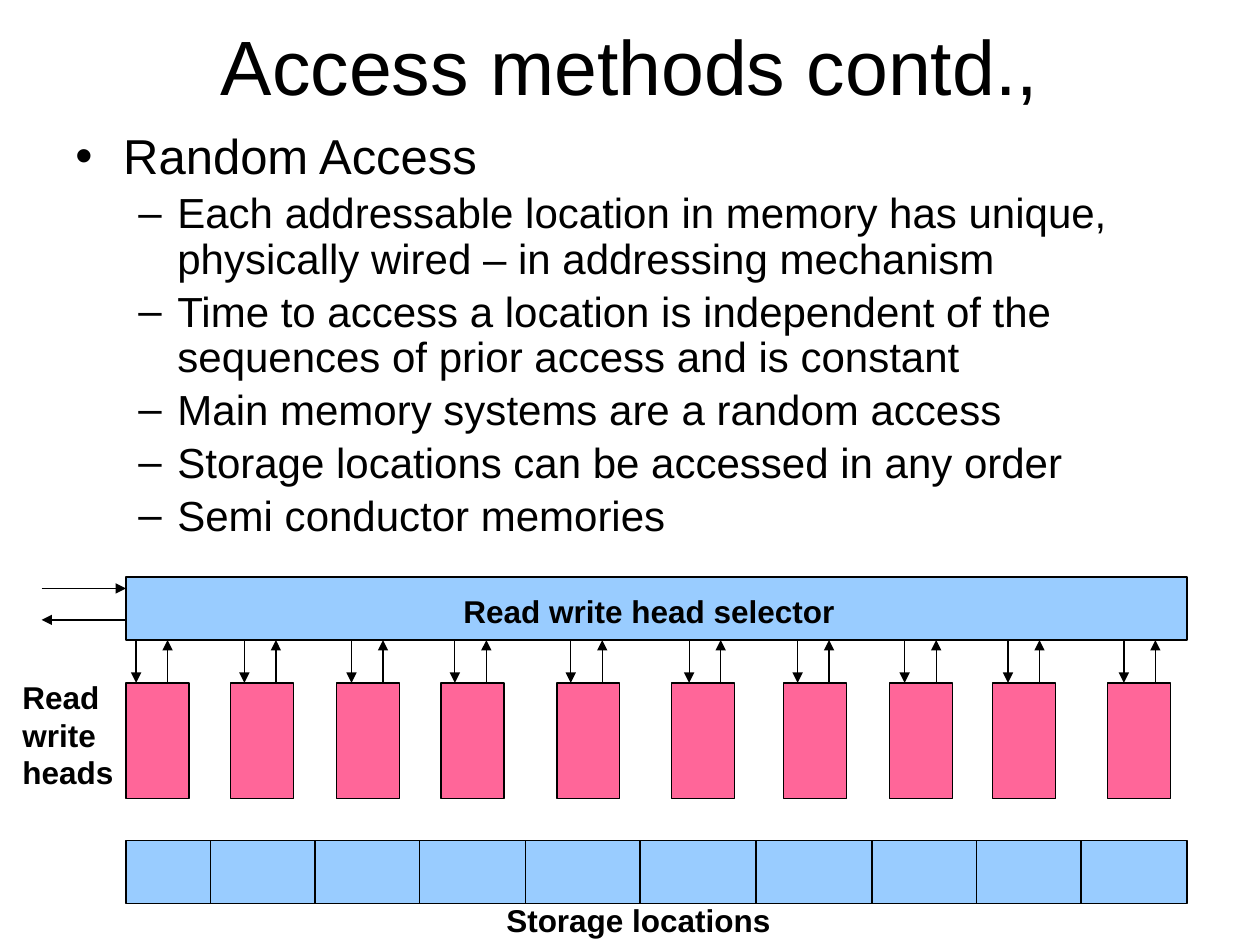
"""Build the slide on random access to memory."""
from typing import NamedTuple

from lxml.etree import SubElement
from pptx import Presentation
from pptx.dml.color import RGBColor
from pptx.enum.shapes import MSO_CONNECTOR, MSO_SHAPE
from pptx.enum.text import MSO_ANCHOR, MSO_AUTO_SIZE, PP_ALIGN
from pptx.oxml.ns import qn
from pptx.util import Inches, Pt

BLACK, BLUE, PINK = "000000", "99CCFF", "FF6699"
BAR_LEFT, BAR_WIDTH, BAR_HEIGHT = 1, 8.42, 0.5
SELECTOR_TOP, SELECTOR_BOTTOM = 4.58, 5.08
HEAD_TOP, HEAD_WIDTH, HEAD_HEIGHT = 5.42, 0.5, 0.92
STORAGE_TOP, STORAGE_BOTTOM = 6.67, 7.17
ARROW_GAP = 0.25


class Head(NamedTuple):
    left: float
    arrow: float


class Label(NamedTuple):
    text: str
    left: float
    top: float
    width: float
    height: float
    wrap: bool


class Bullet(NamedTuple):
    text: str
    level: int = 1


class BulletStyle(NamedTuple):
    symbol: str
    size: float
    margin: float
    hanging: float


HEADS = [
    Head(1, 1.08), Head(1.83, 1.94), Head(2.67, 2.79), Head(3.5, 3.61), Head(4.42, 4.53),
    Head(5.33, 5.47), Head(6.22, 6.33), Head(7.06, 7.18), Head(7.88, 8), Head(8.79, 8.92),
]
DIVIDERS = [1.67, 2.5, 3.33, 4.17, 5.08, 6, 6.92, 7.75, 8.58]
LABELS = [
    Label("Read write heads", 0.08, 5.33, 1.18, 1, True),
    Label("Read write head selector", 3.58, 4.65, 5.75, 0.4, True),
    Label("Storage locations", 3.92, 7.1, 2.3, 0.4, False),
]
BULLETS = [
    Bullet("Random Access", 0),
    Bullet("Each addressable location in memory has unique, "
           "physically wired – in addressing mechanism"),
    Bullet("Time to access a location is independent of the "
           "sequences of prior access and is constant"),
    Bullet("Main memory systems are a random access"),
    Bullet("Storage locations can be accessed in any order"),
    Bullet("Semi conductor memories"),
]
BULLET_STYLES = [BulletStyle("•", 28, 0.38, 0.38), BulletStyle("–", 24, 0.81, 0.31)]


def color(value: str) -> RGBColor:
    return RGBColor.from_string(value)


def write(paragraph, text: str, size: float = 18, bold: bool = False, align=PP_ALIGN.LEFT) -> None:
    paragraph.alignment = align
    run = paragraph.add_run()
    run.text = text
    run.font.name = "Arial"
    run.font.size = Pt(size)
    run.font.bold = bold
    run.font.color.rgb = color(BLACK)


def add_box(slide, left: float, top: float, width: float, height: float, fill: str) -> None:
    shape = slide.shapes.add_shape(
        MSO_SHAPE.RECTANGLE, Inches(left), Inches(top), Inches(width), Inches(height))
    shape.shadow.inherit = False
    shape.fill.solid()
    shape.fill.fore_color.rgb = color(fill)
    shape.line.color.rgb = color(BLACK)
    shape.line.width = Pt(0.75)


def add_line(slide, start: tuple[float, float], end: tuple[float, float], arrow: bool = True) -> None:
    connector = slide.shapes.add_connector(
        MSO_CONNECTOR.STRAIGHT, *(Inches(value) for value in start + end))
    connector.line.color.rgb = color(BLACK)
    connector.line.width = Pt(0.75)
    if arrow:
        SubElement(connector.line._get_or_add_ln(), qn("a:tailEnd"), type="triangle")
    SubElement(connector._element.spPr, qn("a:effectLst"))


def add_text_box(slide, left: float, top: float, width: float, height: float, wrap: bool = True):
    shape = slide.shapes.add_textbox(Inches(left), Inches(top), Inches(width), Inches(height))
    shape.text_frame.word_wrap = wrap
    return shape.text_frame


def add_title(slide, text: str) -> None:
    title = slide.shapes.title
    title.left, title.top = Inches(0.5), Inches(0.08)
    title.width, title.height = Inches(9), Inches(0.87)
    title.text_frame.auto_size = MSO_AUTO_SIZE.NONE
    title.text_frame.vertical_anchor = MSO_ANCHOR.MIDDLE
    write(title.text_frame.paragraphs[0], text, size=44, align=PP_ALIGN.CENTER)


def add_bullets(slide, bullets: list[Bullet]) -> None:
    frame = add_text_box(slide, 0.5, 1, 9, 3.53)
    for index, bullet in enumerate(bullets):
        paragraph = frame.add_paragraph() if index else frame.paragraphs[0]
        style = BULLET_STYLES[bullet.level]
        properties = paragraph._p.get_or_add_pPr()
        properties.set("marL", str(Inches(style.margin)))
        properties.set("indent", str(-Inches(style.hanging)))
        SubElement(properties, qn("a:buFont"), typeface="Arial")
        SubElement(properties, qn("a:buChar"), char=style.symbol)
        paragraph.level = bullet.level
        paragraph.line_spacing = 0.9
        if index:
            paragraph.space_before = Pt(4.3)
        write(paragraph, bullet.text, size=style.size)


def add_diagram(slide) -> None:
    add_box(slide, BAR_LEFT, SELECTOR_TOP, BAR_WIDTH, BAR_HEIGHT, BLUE)
    for head in HEADS:
        add_box(slide, head.left, HEAD_TOP, HEAD_WIDTH, HEAD_HEIGHT, PINK)
        add_line(slide, (head.arrow, SELECTOR_BOTTOM), (head.arrow, HEAD_TOP))
        upward = head.arrow + ARROW_GAP
        add_line(slide, (upward, HEAD_TOP), (upward, SELECTOR_BOTTOM))
    add_box(slide, BAR_LEFT, STORAGE_TOP, BAR_WIDTH, BAR_HEIGHT, BLUE)
    for divider in DIVIDERS:
        add_line(slide, (divider, STORAGE_TOP), (divider, STORAGE_BOTTOM), arrow=False)
    add_line(slide, (0.33, 4.67), (BAR_LEFT, 4.67))
    add_line(slide, (BAR_LEFT, 4.92), (0.33, 4.92))
    for label in LABELS:
        frame = add_text_box(slide, label.left, label.top, label.width, label.height, label.wrap)
        write(frame.paragraphs[0], label.text, bold=True)


def main() -> None:
    presentation = Presentation()
    presentation.slide_width, presentation.slide_height = Inches(10), Inches(7.5)
    slide = presentation.slides.add_slide(presentation.slide_layouts[5])
    add_title(slide, "Access methods contd.,")
    add_bullets(slide, BULLETS)
    add_diagram(slide)
    presentation.save("out.pptx")


if __name__ == "__main__":
    main()
